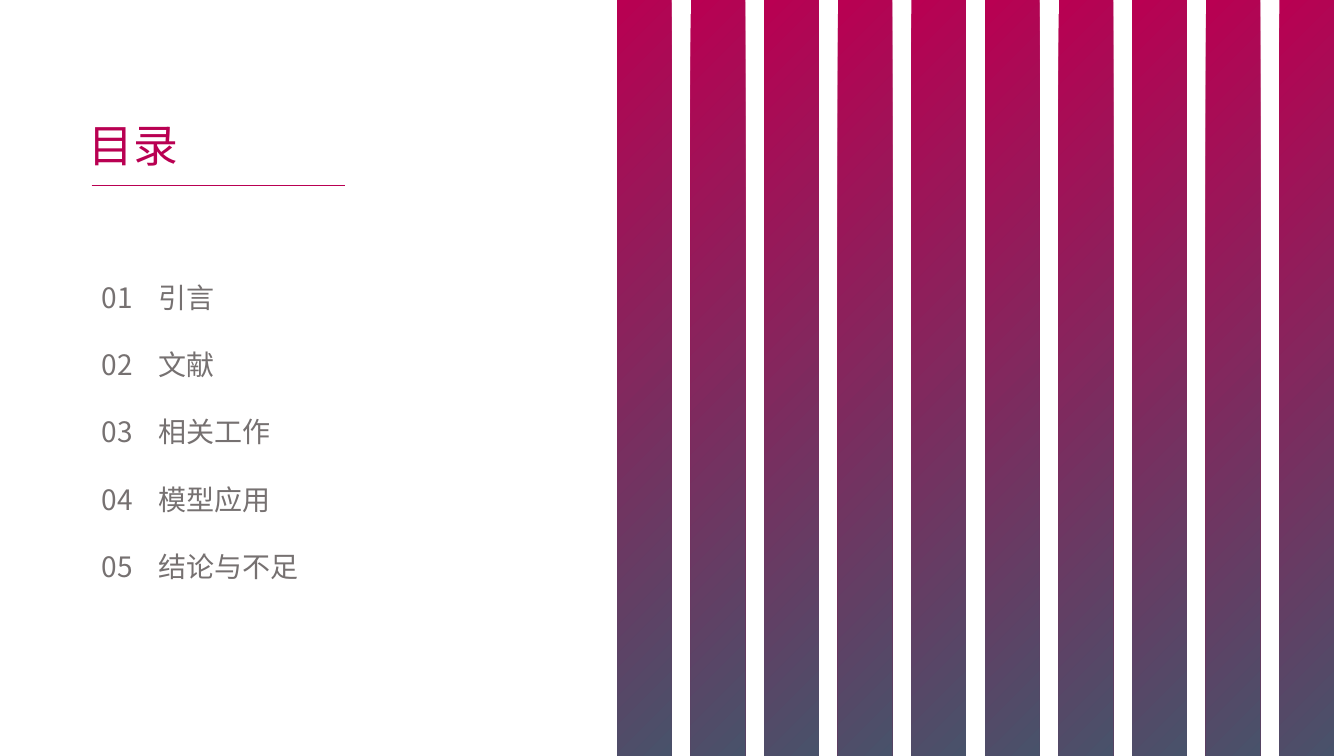
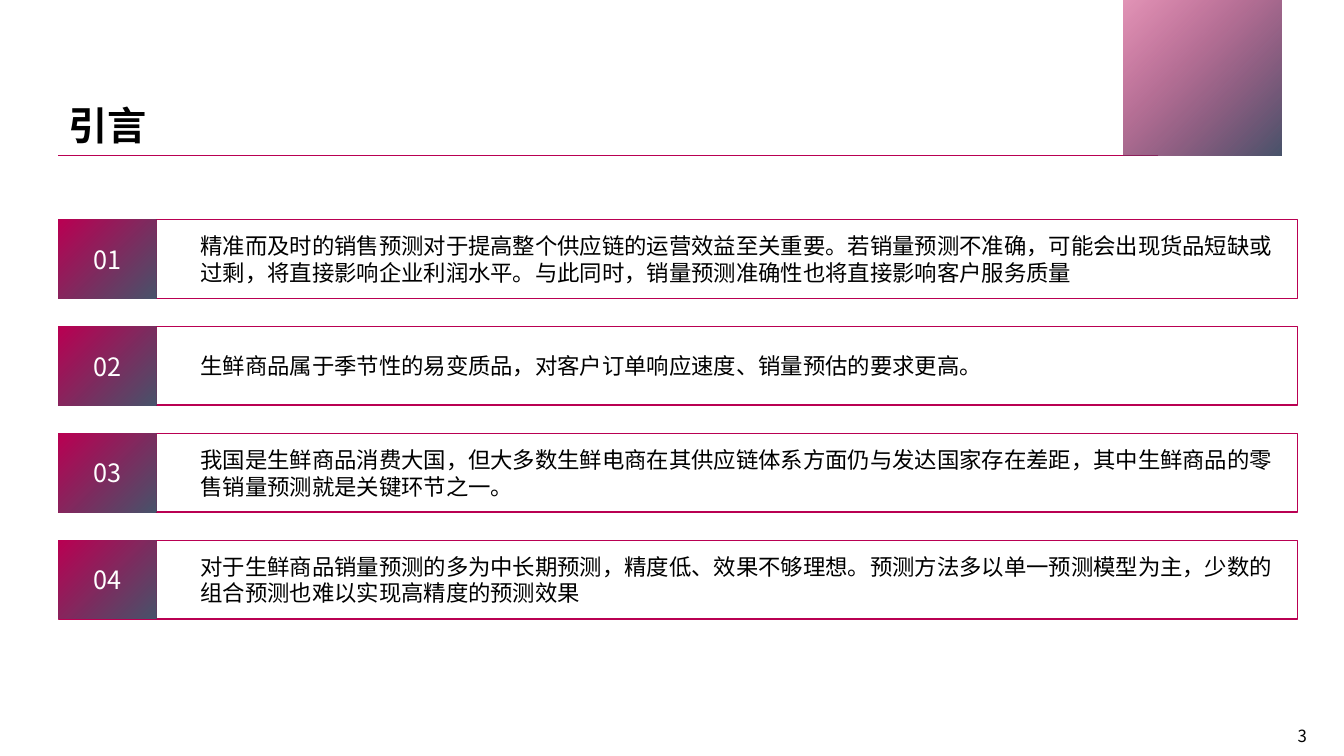
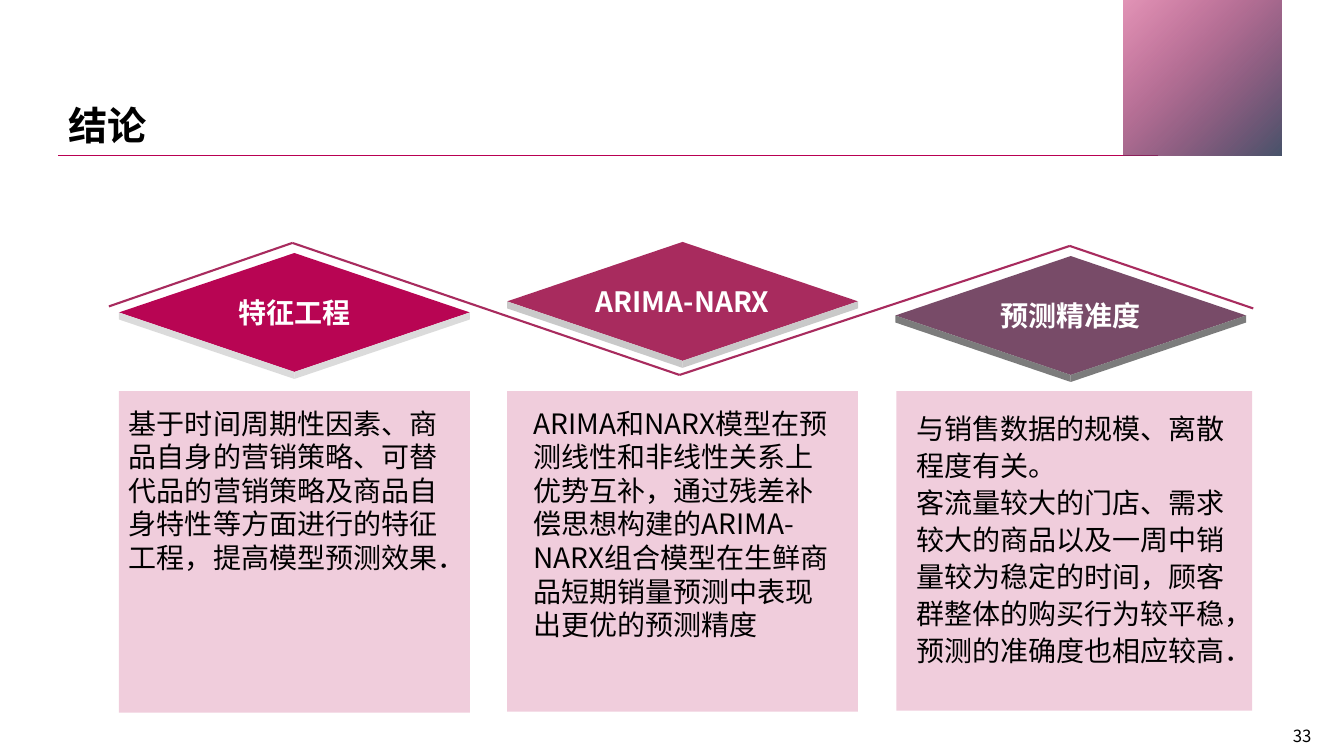
from dataclasses import dataclass
from itertools import pairwise

from lxml import etree
from pptx import Presentation
from pptx.dml.color import RGBColor
from pptx.enum.shapes import MSO_CONNECTOR, MSO_SHAPE
from pptx.enum.text import MSO_ANCHOR, PP_ALIGN
from pptx.oxml.ns import qn
from pptx.util import Pt

PX = 9144
RECTANGLE = MSO_SHAPE.RECTANGLE
STRAIGHT = MSO_CONNECTOR.STRAIGHT
TOP, MIDDLE = MSO_ANCHOR.TOP, MSO_ANCHOR.MIDDLE
LEFT, CENTER = PP_ALIGN.LEFT, PP_ALIGN.CENTER


@dataclass(frozen=True)
class Theme:
    font: str = "Noto Sans CJK SC"
    magenta: str = "B90052"
    slate: str = "48526A"
    crimson: str = "B80553"
    raspberry: str = "A82B5E"
    plum: str = "784B68"
    grey: str = "767171"
    black: str = "000000"
    white: str = "FFFFFF"
    agenda_title: int = 32
    title: int = 28
    large: int = 20
    badge: int = 18
    body: int = 16
    page: int = 12


THEME = Theme()
SLIDE_WIDTH, SLIDE_HEIGHT = 1333, 750

AGENDA = ["引言", "文献", "相关工作", "模型应用", "结论与不足"]

INTRODUCTION = [
    "精准而及时的销售预测对于提高整个供应链的运营效益至关重要。若销量预测不准确，可能会出现货品短缺或过剩，将直接影响企业利润水平。与此同时，销量预测准确性也将直接影响客户服务质量",
    "生鲜商品属于季节性的易变质品，对客户订单响应速度、销量预估的要求更高。",
    "我国是生鲜商品消费大国，但大多数生鲜电商在其供应链体系方面仍与发达国家存在差距，其中生鲜商品的零售销量预测就是关键环节之一。",
    "对于生鲜商品销量预测的多为中长期预测，精度低、效果不够理想。预测方法多以单一预测模型为主，少数的组合预测也难以实现高精度的预测效果",
]

CONCLUSIONS = [
    {
        "heading": "特征工程", "diamond": (118, 251),
        "face": THEME.crimson, "edge": "DBDBDB",
        "card": (118, 388, 348, 319), "text": (118, 398, 348, 140), "spacing": 1.0,
        "paragraphs": ["基于时间周期性因素、商品自身的营销策略、可替代品的营销策略及商品自身特性等方面进行的特征工程，提高模型预测效果．"],
    },
    {
        "heading": "ARIMA-NARX", "diamond": (503, 240),
        "face": THEME.raspberry, "edge": "C9C9C9",
        "card": (503, 388, 348, 318), "text": (519, 398, 316, 242), "spacing": 1.0,
        "paragraphs": ["ARIMA和NARX模型在预测线性和非线性关系上优势互补，通过残差补偿思想构建的ARIMA-NARX组合模型在生鲜商品短期销量预测中表现出更优的预测精度"],
    },
    {
        "heading": "预测精准度", "diamond": (888, 254),
        "face": THEME.plum, "edge": "7C7C7C",
        "card": (889, 388, 353, 317), "text": (899, 400, 328, 306), "spacing": 1.1,
        "paragraphs": [
            "与销售数据的规模、离散程度有关。",
            "客流量较大的门店、需求较大的商品以及一周中销量较为稳定的时间，顾客群整体的购买行为较平稳，预测的准确度也相应较高．",
        ],
    },
]
ZIGZAG = [(108, 304), (290, 241), (674, 372), (1061, 244), (1243, 306)]


def emu(lengths):
    return [length * PX for length in lengths]


def apply_format(target, values):
    for name, value in values.items():
        setattr(target, name, value)


def set_alpha(color_element, percent):
    etree.SubElement(color_element, qn("a:alpha"), val=str(percent * 1000))


def add_tab_stop(paragraph, position):
    stops = etree.SubElement(paragraph._p.get_or_add_pPr(), qn("a:tabLst"))
    etree.SubElement(stops, qn("a:tab"), pos=str(position * PX), algn="l")


def write_text(frame, paragraphs, size, color, bold=False, align=LEFT,
               anchor=TOP, spacing=None, tab=None, inset=None):
    apply_format(frame, {"word_wrap": True, "vertical_anchor": anchor})
    if inset is not None:
        sides = ("margin_left", "margin_top", "margin_right", "margin_bottom")
        apply_format(frame, dict.fromkeys(sides, inset * PX))
    for index, text in enumerate(paragraphs):
        paragraph = frame.add_paragraph() if index else frame.paragraphs[0]
        apply_format(paragraph, {"alignment": align, "line_spacing": spacing})
        if tab:
            add_tab_stop(paragraph, tab)
        run = paragraph.add_run()
        run.text = text
        apply_format(run.font, {"name": THEME.font, "size": Pt(size), "bold": bold})
        run.font.color.rgb = RGBColor.from_string(color)
        etree.SubElement(run.font._element, qn("a:ea"), typeface=THEME.font)


def add_text(slide, box, paragraphs, size, color, **layout):
    label = slide.shapes.add_textbox(*emu(box))
    write_text(label.text_frame, paragraphs, size, color, **layout)


def add_rectangle(slide, box):
    rectangle = slide.shapes.add_shape(RECTANGLE, *emu(box))
    rectangle.shadow.inherit = False
    rectangle.line.fill.background()
    return rectangle


def fill_solid(shape, color, alpha=None):
    shape.fill.solid()
    shape.fill.fore_color.rgb = RGBColor.from_string(color)
    if alpha is not None:
        set_alpha(shape.element.spPr.find(".//" + qn("a:srgbClr")), alpha)


def add_gradient(slide, box, start_alpha=None):
    panel = add_rectangle(slide, box)
    panel.fill.gradient()
    panel.fill.gradient_angle = 315
    for stop, color in zip(panel.fill.gradient_stops, (THEME.magenta, THEME.slate)):
        stop.color.rgb = RGBColor.from_string(color)
    if start_alpha is not None:
        set_alpha(panel.element.spPr.find(".//" + qn("a:srgbClr")), start_alpha)
    return panel


def add_rule(slide, start, end, color, width):
    rule = slide.shapes.add_connector(STRAIGHT, *emu(start + end))
    rule.line.color.rgb = RGBColor.from_string(color)
    rule.line.width = Pt(width)
    etree.SubElement(rule.element.spPr, qn("a:effectLst"))


def add_polygon(slide, points, color):
    outline = slide.shapes.build_freeform(*points[0], scale=PX)
    outline.add_line_segments(points[1:], close=True)
    polygon = outline.convert_to_shape()
    polygon.shadow.inherit = False
    polygon.line.fill.background()
    fill_solid(polygon, color)
    return polygon


def add_diamond(slide, left, top, heading, face, edge):
    half_width, half_height, depth = 174, 59, 7
    center, middle = left + half_width, top + half_height
    right, bottom = center + half_width, middle + half_height
    diamond = add_polygon(
        slide, [(center, bottom), (right, middle), (center, top), (left, middle)], face)
    write_text(diamond.text_frame, [heading], THEME.large, THEME.white,
               bold=True, align=CENTER, anchor=MIDDLE, inset=0)
    for corner in (right, left):
        add_polygon(slide, [(center, bottom), (corner, middle),
                            (corner, middle + depth), (center, bottom + depth)], edge)


def add_slide(deck):
    return deck.slides.add_slide(deck.slide_layouts[6])


def add_content_slide(deck, title, page):
    slide = add_slide(deck)
    add_text(slide, (1257, 710, 69, 40), [page], THEME.page, THEME.black,
             align=CENTER, anchor=MIDDLE)
    add_rule(slide, (58, 154), (1149, 154), THEME.magenta, 0.5)
    add_text(slide, (58, 96, 285, 57), [title], THEME.title, THEME.black, bold=True)
    add_gradient(slide, (1114, -3, 157, 157), start_alpha=41)
    return slide


def build_agenda(deck):
    slide = add_slide(deck)
    entries = [f"{number:02}\t{topic}" for number, topic in enumerate(AGENDA, 1)]
    add_text(slide, (91, 240, 408, 347), entries, THEME.large, THEME.grey,
             spacing=2.0, tab=56)
    add_text(slide, (78, 112, 278, 64), ["目录"], THEME.agenda_title, THEME.magenta)
    add_rule(slide, (91, 184), (342, 184), THEME.magenta, 0.5)
    for index in range(10):
        add_gradient(slide, (612 + 73 * index, 0, 54, SLIDE_HEIGHT))


def build_introduction(deck):
    slide = add_content_slide(deck, "引言", "3")
    left, height, pitch = 58, 78, 106
    for index, point in enumerate(INTRODUCTION):
        top = 218 + pitch * index
        frame = add_rectangle(slide, (left, top, 1229, height))
        frame.fill.background()
        frame.line.color.rgb = RGBColor.from_string(THEME.magenta)
        frame.line.width = Pt(1)
        badge = add_gradient(slide, (left, top, 97, height))
        write_text(badge.text_frame, [f"{index + 1:02}"], THEME.badge, THEME.white,
                   align=CENTER, anchor=MIDDLE)
        add_text(slide, (189, top, 1099, height), [point], THEME.body, THEME.black,
                 anchor=MIDDLE)


def build_conclusion(deck):
    slide = add_content_slide(deck, "结论", "33")
    for column in CONCLUSIONS:
        add_diamond(slide, *column["diamond"], column["heading"],
                    column["face"], column["edge"])
        fill_solid(add_rectangle(slide, column["card"]), THEME.crimson, alpha=20)
        add_text(slide, column["text"], column["paragraphs"], THEME.large, THEME.black,
                 spacing=column["spacing"])
    for start, end in pairwise(ZIGZAG):
        add_rule(slide, start, end, THEME.raspberry, 1.5)


def main():
    deck = Presentation()
    apply_format(deck, {"slide_width": SLIDE_WIDTH * PX, "slide_height": SLIDE_HEIGHT * PX})
    build_agenda(deck)
    build_introduction(deck)
    build_conclusion(deck)
    deck.save("out.pptx")


if __name__ == "__main__":
    main()
